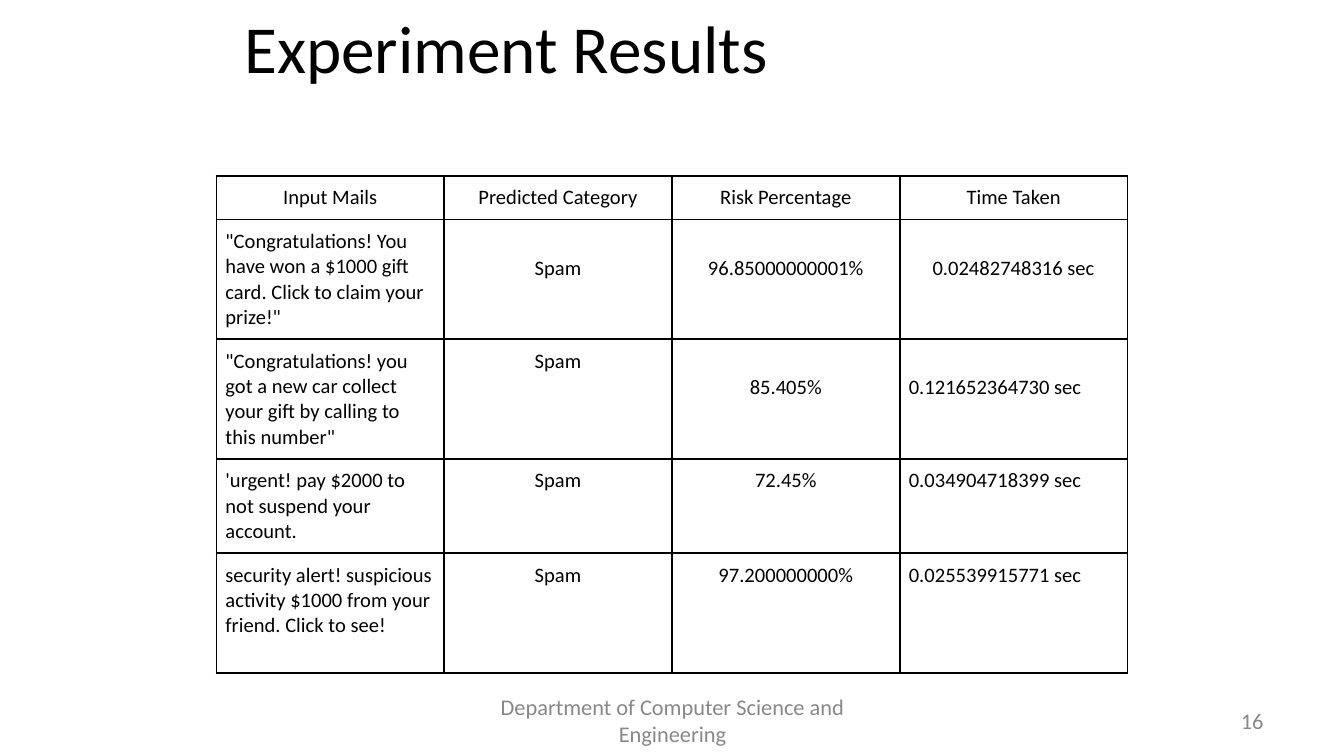
from dataclasses import dataclass

from lxml import etree
from pptx import Presentation
from pptx.dml.color import RGBColor
from pptx.enum import text
from pptx.oxml import ns
from pptx.util import Inches, Pt

FONT = "Calibri"
BLACK, GRAY = "000000", "888888"
LEFT, CENTER, RIGHT = text.PP_ALIGN.LEFT, text.PP_ALIGN.CENTER, text.PP_ALIGN.RIGHT
SLIDE_WIDTH = 10
SLIDE_HEIGHT = SLIDE_WIDTH * 9 / 16
CELL_MARGIN = Pt(4.9)
LOWERED = Pt(14.4)  # extra top margin of values set one line down


@dataclass
class Entry:
    wording: str
    alignment: text.PP_ALIGN = CENTER
    drop: int = 0


@dataclass
class Row:
    height: float
    entries: list[Entry]


@dataclass
class Label:
    wording: str
    left: float
    width: float
    alignment: text.PP_ALIGN


HEADINGS = ["Input Mails", "Predicted Category", "Risk Percentage", "Time Taken"]
ROWS = [
    Row(0.32, [Entry(heading) for heading in HEADINGS]),
    Row(0.89, [
        Entry('"Congratulations! You have won a $1000 gift card. Click to claim your prize!"', LEFT),
        Entry("Spam", drop=LOWERED),
        Entry("96.85000000001%", drop=LOWERED),
        Entry("0.02482748316 sec", drop=LOWERED),
    ]),
    Row(0.89, [
        Entry('"Congratulations! you got a new car collect your gift by calling to this number"', LEFT),
        Entry("Spam"),
        Entry("85.405%", drop=LOWERED),
        Entry("0.121652364730 sec", LEFT, LOWERED),
    ]),
    Row(0.7, [
        Entry("'urgent! pay $2000 to not suspend your account.", LEFT),
        Entry("Spam"),
        Entry("72.45%"),
        Entry("0.034904718399 sec", LEFT),
    ]),
    Row(0.89, [
        Entry("security alert! suspicious activity $1000 from your friend. Click to see!", LEFT),
        Entry("Spam"),
        Entry("97.200000000%"),
        Entry("0.025539915771 sec", LEFT),
    ]),
]
LABELS = [
    Label("Department of Computer Science and Engineering", 3.42, 3.17, CENTER),
    Label("16", 7.17, 2.33, RIGHT),
]


def color(value: str) -> RGBColor:
    return RGBColor.from_string(value)


def write(frame, wording: str, size: float, ink: str, alignment: text.PP_ALIGN) -> None:
    frame.text = wording
    frame.word_wrap = True
    paragraph = frame.paragraphs[0]
    paragraph.alignment = alignment
    paragraph.font.name = FONT
    paragraph.font.size = Pt(size)
    paragraph.font.color.rgb = color(ink)


def add_borders(cell) -> None:
    properties = cell._tc.get_or_add_tcPr()
    for side in ("lnL", "lnR", "lnT", "lnB"):
        line = etree.SubElement(properties, ns.qn(f"a:{side}"), w=str(Pt(1)))
        fill = etree.SubElement(line, ns.qn("a:solidFill"))
        etree.SubElement(fill, ns.qn("a:srgbClr"), val=BLACK)


def fill_cell(cell, entry: Entry) -> None:
    write(cell.text_frame, entry.wording, 11, BLACK, entry.alignment)
    cell.margin_left = cell.margin_right = cell.margin_bottom = CELL_MARGIN
    cell.margin_top = CELL_MARGIN + entry.drop
    add_borders(cell)
    cell.fill.background()


def add_results(slide, rows: list[Row]) -> None:
    height = sum(row.height for row in rows)
    table = slide.shapes.add_table(
        len(rows), len(HEADINGS), Inches(1.61), Inches(1.31), Inches(6.78), Inches(height)
    ).table
    table.first_row = table.horz_banding = False
    for index, row in enumerate(rows):
        table.rows[index].height = Inches(row.height)
        for column, entry in enumerate(row.entries):
            fill_cell(table.cell(index, column), entry)


def add_label(slide, label: Label) -> None:
    box = slide.shapes.add_textbox(
        Inches(label.left), Inches(5.21), Inches(label.width), Inches(0.3)
    )
    write(box.text_frame, label.wording, 12, GRAY, label.alignment)
    box.text_frame.vertical_anchor = text.MSO_ANCHOR.MIDDLE


def main() -> None:
    presentation = Presentation()
    presentation.slide_width = Inches(SLIDE_WIDTH)
    presentation.slide_height = Inches(SLIDE_HEIGHT)
    slide = presentation.slides.add_slide(presentation.slide_layouts[5])

    # Title
    title = slide.shapes.title
    title.left, title.top = Inches(0.42), Inches(0)
    title.width, title.height = Inches(6.69), Inches(0.69)
    write(title.text_frame, "Experiment Results", 36, BLACK, CENTER)
    title.text_frame.vertical_anchor = text.MSO_ANCHOR.MIDDLE
    title.text_frame.auto_size = text.MSO_AUTO_SIZE.NONE

    # Results table
    add_results(slide, ROWS)

    # Footer and page number
    for label in LABELS:
        add_label(slide, label)

    presentation.save("out.pptx")


if __name__ == "__main__":
    main()
